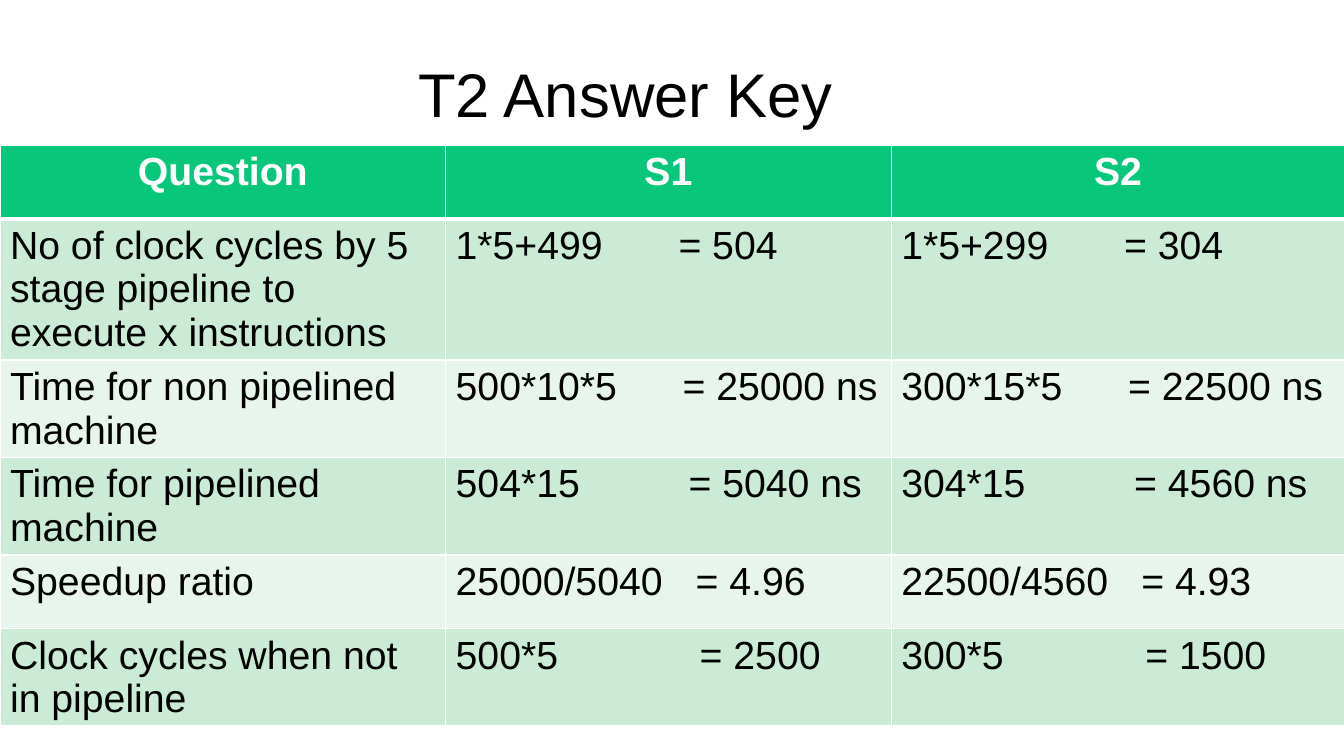
from lxml import etree
from pptx import Presentation
from pptx import util as u
from pptx.dml.color import RGBColor
from pptx.enum import text
from pptx.oxml import ns

WIDTH, HEIGHT = 13.33, 7.5
COLORS = {"header": "09C77A", "odd": "CCEBD7", "even": "E7F5EC", "white": "FFFFFF", "black": "000000"}
COLUMNS = [4.42, 4.42, 4.5]
ROW, TALL_ROW = 0.73, 1.26
HEADINGS = ["Question", "S1", "S2"]
ANSWERS = [
    ("No of clock cycles by 5 stage pipeline to execute x instructions", 2.21, "1*5+499\t= 504", "1*5+299\t= 304"),
    ("Time for non pipelined machine", 2.25, "500*10*5\t= 25000 ns", "300*15*5\t= 22500 ns"),
    ("Time for pipelined machine", 2.31, "504*15\t= 5040 ns", "304*15\t= 4560 ns"),
    ("Speedup ratio", 2.38, "25000/5040\t= 4.96", "22500/4560\t= 4.93"),
    ("Clock cycles when not in pipeline", 2.42, "500*5\t= 2500", "300*5\t= 1500"),
]


def write(frame, words, size=28, color="black", bold=False, align=text.PP_ALIGN.LEFT, tab=None):
    """Fill a text frame with one formatted paragraph."""
    para = frame.paragraphs[0]
    para.alignment = align
    if tab:
        stops = etree.SubElement(para._p.get_or_add_pPr(), ns.qn("a:tabLst"))
        etree.SubElement(stops, ns.qn("a:tab"), pos=str(u.Inches(tab)), algn="l")
    span = para.add_run()
    span.text = words
    span.font.name = "Arial"
    span.font.size = u.Pt(size)
    span.font.bold = bold
    span.font.color.rgb = RGBColor.from_string(COLORS[color])


def add_borders(cell, top=1, bottom=1):
    """Draw white lines on the four sides of a cell."""
    props = cell._tc.get_or_add_tcPr()
    for place, (side, width) in enumerate({"L": 1, "R": 1, "T": top, "B": bottom}.items()):
        line = etree.Element(ns.qn(f"a:ln{side}"), w=str(u.Pt(width)))
        fill = etree.SubElement(line, ns.qn("a:solidFill"))
        etree.SubElement(fill, ns.qn("a:srgbClr"), val=COLORS["white"])
        props.insert(place, line)


def paint(cell, color, **borders):
    """Give a cell its fill and borders."""
    cell.fill.solid()
    cell.fill.fore_color.rgb = RGBColor.from_string(COLORS[color])
    add_borders(cell, **borders)


def add_title(page, words):
    """Place and fill the title placeholder."""
    title = page.shapes.title
    title.left, title.top = u.Inches(WIDTH * 0.05), u.Inches(HEIGHT * 0.04)
    title.width, title.height = u.Inches(11.08), u.Inches(1.25)
    title.text_frame.vertical_anchor = text.MSO_ANCHOR.MIDDLE
    write(title.text_frame, words, size=44, align=text.PP_ALIGN.CENTER)


def add_answer_table(page):
    """Add the table of questions and answers."""
    heights = [ROW, TALL_ROW] + [ROW] * (len(ANSWERS) - 1)
    table = page.shapes.add_table(
        len(heights), len(COLUMNS), 0, u.Inches(1.44), u.Inches(WIDTH), u.Inches(sum(heights))
    ).table
    for column, width in zip(table.columns, COLUMNS):
        column.width = u.Inches(width)
    for row, height in zip(table.rows, heights):
        row.height = u.Inches(height)
    for col, heading in enumerate(HEADINGS):
        cell = table.cell(0, col)
        paint(cell, "header", bottom=3)
        write(cell.text_frame, heading, color="white", bold=True, align=text.PP_ALIGN.CENTER)
    for index, (question, tab, *results) in enumerate(ANSWERS, start=1):
        for col, words in enumerate([question, *results]):
            cell = table.cell(index, col)
            paint(cell, "odd" if index % 2 else "even", top=3 if index == 1 else 1)
            write(cell.text_frame, words, tab=tab if col else None)


def main():
    """Build and save the deck."""
    deck = Presentation()
    deck.slide_width, deck.slide_height = u.Inches(WIDTH), u.Inches(HEIGHT)
    page = deck.slides.add_slide(deck.slide_layouts[5])
    add_title(page, "T2 Answer Key")
    add_answer_table(page)
    deck.save("out.pptx")


if __name__ == "__main__":
    main()
